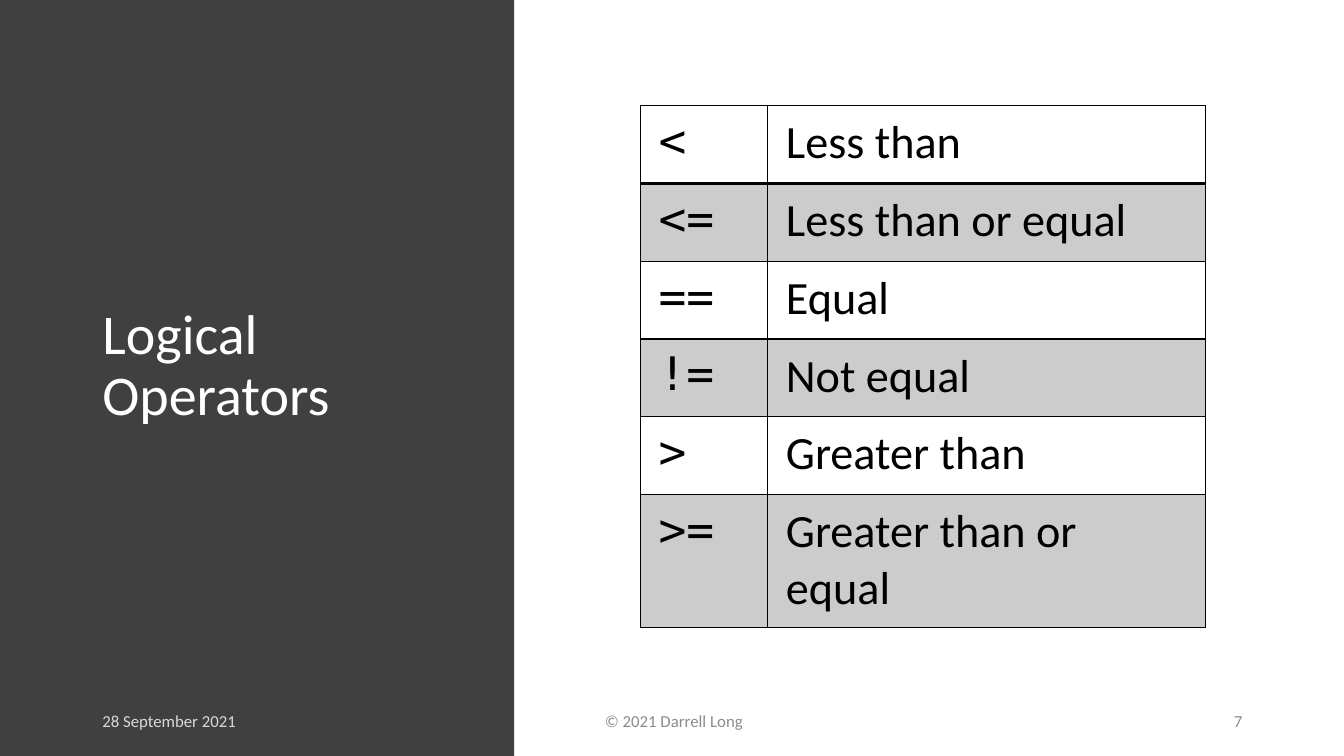
from dataclasses import dataclass

from lxml import etree
from pptx import Presentation
from pptx.dml.color import RGBColor
from pptx.enum import shapes, text
from pptx.oxml.ns import qn
from pptx.util import Pt

COLOURS = {
    "panel": "404040",
    "white": "FFFFFF",
    "date": "D9D9D9",
    "footer": "8C8C8C",
    "black": "000000",
    "band": "CCCCCC",
}
BODY_FONT = "Calibri"
CODE_FONT = "DejaVu Sans Mono"
SIDES = ("lnL", "lnR", "lnT", "lnB")


@dataclass
class Operator:
    symbol: str
    meaning: str
    height: float = 55.6


@dataclass
class Footer:
    wording: str
    left: float
    width: float
    colour: str = "footer"
    align: text.PP_ALIGN = text.PP_ALIGN.LEFT


OPERATORS = [
    Operator("<", "Less than"),
    Operator("<=", "Less than or equal"),
    Operator("==", "Equal"),
    Operator("!=", "Not equal"),
    Operator(">", "Greater than"),
    Operator(">=", "Greater than or equal", 95),
]
FOOTERS = [
    Footer("28 September 2021", 66, 216, "date"),
    Footer("© 2021 Darrell Long", 425, 353),
    Footer("7", 798, 96.5, align=text.PP_ALIGN.RIGHT),
]


def rgb(name: str) -> RGBColor:
    return RGBColor.from_string(COLOURS[name])


def style_text(frame, size: float, colour: str, font: str = BODY_FONT) -> None:
    for para in frame.paragraphs:
        for span in para.runs:
            span.font.size = Pt(size)
            span.font.name = font
            span.font.color.rgb = rgb(colour)


def add_title(page) -> None:
    title = page.shapes.title
    title.left, title.top, title.width, title.height = Pt(66), Pt(49), Pt(264), Pt(426)
    frame = title.text_frame
    frame.text = "Logical Operators"
    frame.word_wrap = True
    frame.auto_size = text.MSO_AUTO_SIZE.NONE
    frame.vertical_anchor = text.MSO_ANCHOR.MIDDLE
    frame.paragraphs[0].alignment = text.PP_ALIGN.LEFT
    frame.paragraphs[0].line_spacing = 0.9
    style_text(frame, 40, "white")


def add_panel(page) -> None:
    """Draw the dark side panel and place it behind the title."""
    panel = page.shapes.add_shape(
        shapes.MSO_SHAPE.RECTANGLE, Pt(0), Pt(0), Pt(367.3), Pt(540))
    panel.shadow.inherit = False
    panel.fill.solid()
    panel.fill.fore_color.rgb = rgb("panel")
    panel.line.fill.background()
    page.shapes.title.element.addprevious(panel.element)


def add_footer(page, footer: Footer) -> None:
    box = page.shapes.add_textbox(
        Pt(footer.left), Pt(500.5), Pt(footer.width), Pt(28.75))
    frame = box.text_frame
    frame.text = footer.wording
    frame.word_wrap = True
    frame.vertical_anchor = text.MSO_ANCHOR.MIDDLE
    frame.paragraphs[0].alignment = footer.align
    frame.paragraphs[0].space_after = Pt(6)
    style_text(frame, 12, footer.colour)


def set_border(cell, side: str, width: float) -> None:
    properties = cell._tc.get_or_add_tcPr()
    line = etree.SubElement(properties, qn(f"a:{side}"), w=str(Pt(width)))
    fill = etree.SubElement(line, qn("a:solidFill"))
    etree.SubElement(fill, qn("a:srgbClr"), val=COLOURS["black"])


def fill_cell(cell, wording: str, font: str, row: int) -> None:
    cell.text = wording
    cell.margin_left = cell.margin_right = Pt(13)
    cell.margin_top = cell.margin_bottom = Pt(6.5)
    style_text(cell.text_frame, 33, "black", font)
    for side in SIDES:
        under_first_row = (row, side) in ((0, "lnB"), (1, "lnT"))
        set_border(cell, side, 2 if under_first_row else 1)
    if row % 2:
        cell.fill.solid()
        cell.fill.fore_color.rgb = rgb("band")
    else:
        cell.fill.background()


def add_operator_table(page) -> None:
    height = sum(operator.height for operator in OPERATORS)
    table = page.shapes.add_table(
        len(OPERATORS), 2, Pt(457.4), Pt(75.4), Pt(403.5), Pt(height)).table
    table.first_row = table.horz_banding = False
    table.columns[0].width = Pt(91)
    table.columns[1].width = Pt(312.5)
    for row, operator in enumerate(OPERATORS):
        table.rows[row].height = Pt(operator.height)
        fill_cell(table.cell(row, 0), operator.symbol, CODE_FONT, row)
        fill_cell(table.cell(row, 1), operator.meaning, BODY_FONT, row)


def main() -> None:
    deck = Presentation()
    deck.slide_width, deck.slide_height = Pt(960), Pt(540)
    page = deck.slides.add_slide(deck.slide_layouts.get_by_name("Title Only"))
    add_title(page)
    add_panel(page)
    for footer in FOOTERS:
        add_footer(page, footer)
    add_operator_table(page)
    deck.save("out.pptx")


if __name__ == "__main__":
    main()
